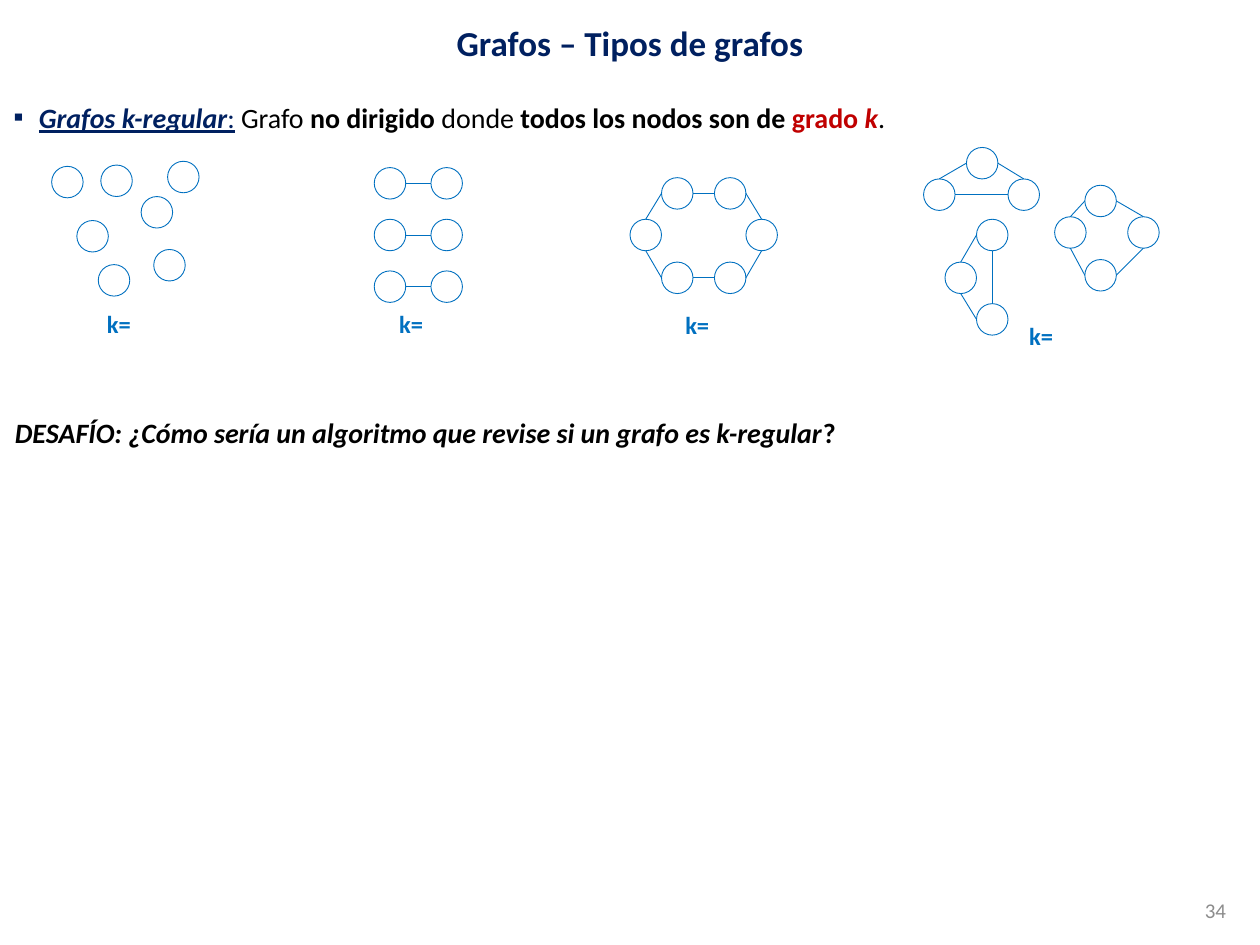
"""Build a slide on k-regular graphs with four example graphs."""
from lxml import etree
from pptx import Presentation
from pptx.dml.color import RGBColor
from pptx.enum.shapes import MSO_CONNECTOR, MSO_SHAPE
from pptx.enum.text import MSO_ANCHOR, MSO_AUTO_SIZE, PP_ALIGN
from pptx.oxml.ns import qn
from pptx.util import Inches, Pt

ELLIPSE, STRAIGHT = MSO_SHAPE.OVAL, MSO_CONNECTOR.STRAIGHT
LEFT, CENTER, RIGHT, JUSTIFY = PP_ALIGN.LEFT, PP_ALIGN.CENTER, PP_ALIGN.RIGHT, PP_ALIGN.JUSTIFY
TOP, MIDDLE = MSO_ANCHOR.TOP, MSO_ANCHOR.MIDDLE

NAVY = RGBColor(0x00, 0x20, 0x60)
BLUE = RGBColor(0x00, 0x70, 0xC0)
RED = RGBColor(0xC0, 0x00, 0x00)
BLACK = RGBColor(0x00, 0x00, 0x00)
GRAY = RGBColor(0x8C, 0x8C, 0x8C)

FONT = "Calibri"
NODE = 0.25
LINE_WIDTH = 0.5
SIDES = {"top": (0.5, 0), "left": (0, 0.5), "bottom": (0.5, 1), "right": (1, 0.5)}

PLAIN = {"size": Pt(16), "color": BLACK}
BOLD = PLAIN | {"bold": True}
BOLD_ITALIC = BOLD | {"italic": True}
TERM = {"size": Pt(16), "color": NAVY, "underline": True}
DEGREE = BOLD | {"color": RED}
LABEL = {"size": Pt(14), "color": BLUE, "bold": True}

TITLE = [("Grafos – Tipos de grafos", {"size": Pt(20), "color": NAVY, "bold": True})]
DEFINITION = [
    ("Grafos k-regular", TERM | {"bold": True, "italic": True}),
    (":", TERM),
    (" Grafo ", PLAIN),
    ("no dirigido ", BOLD),
    ("donde ", PLAIN),
    ("todos los nodos son de ", BOLD),
    ("grado ", DEGREE),
    ("k", DEGREE | {"italic": True}),
    (".", PLAIN),
]
CHALLENGE = [
    ("DESAFÍO: ¿Cómo sería un algoritmo que revise si un grafo es k-regular", BOLD_ITALIC),
    ("?", BOLD),
]
PAGE_NUMBER = [("34", {"size": Pt(12), "color": GRAY})]

PAIR_ROWS = (1.33, 1.74, 2.15)
GRAPHS = [
    {
        "label": (0.75, 2.4),
        "nodes": [(0.41, 1.32), (0.8, 1.31), (1.12, 1.56), (0.61, 1.75),
                  (1.22, 1.98), (1.33, 1.28), (0.78, 2.1)],
        "edges": [],
    },
    {
        "label": (3.07, 2.4),
        "nodes": [(x, y) for y in PAIR_ROWS for x in (2.97, 3.42)],
        "edges": [(2 * row, "right", 2 * row + 1, "left") for row in range(len(PAIR_ROWS))],
    },
    {
        "label": (5.34, 2.41),
        "nodes": [(5.25, 1.41), (5.67, 1.41), (5.92, 1.74),
                  (5.67, 2.08), (5.25, 2.08), (5, 1.74)],
        "edges": [(0, "right", 1, "left"), (1, "right", 2, "top"), (2, "bottom", 3, "right"),
                  (3, "left", 4, "right"), (4, "left", 5, "bottom"), (5, "top", 0, "left")],
    },
    {
        "label": (8.07, 2.5),
        "nodes": [(7.33, 1.42), (7.67, 1.17), (8, 1.42),
                  (8.61, 1.47), (8.95, 1.72), (8.61, 2.06), (8.37, 1.72),
                  (7.75, 1.74), (7.5, 2.08), (7.75, 2.41)],
        "edges": [(0, "top", 1, "left"), (1, "right", 2, "top"), (0, "right", 2, "left"),
                  (3, "right", 4, "top"), (4, "bottom", 5, "right"),
                  (5, "left", 6, "bottom"), (6, "top", 3, "left"),
                  (7, "left", 8, "top"), (8, "bottom", 9, "left"), (7, "bottom", 9, "top")],
    },
]


def add_text(slide, box, runs, align=LEFT, anchor=TOP, wrap=True, grow=False):
    """Add a text box of formatted runs and return its paragraph."""
    frame = slide.shapes.add_textbox(*map(Inches, box)).text_frame
    frame.word_wrap = wrap
    frame.vertical_anchor = anchor
    frame.auto_size = MSO_AUTO_SIZE.SHAPE_TO_FIT_TEXT if grow else MSO_AUTO_SIZE.NONE
    paragraph = frame.paragraphs[0]
    paragraph.alignment = align
    for text, formats in runs:
        run = paragraph.add_run()
        run.text = text
        run.font.name = FONT
        for name, value in formats.items():
            if name == "color":
                run.font.color.rgb = value
            else:
                setattr(run.font, name, value)
    return paragraph


def add_bullet(paragraph, indent, character, color):
    """Give a paragraph a hanging indent and a bullet."""
    properties = paragraph._p.get_or_add_pPr()
    properties.set("marL", str(Inches(indent)))
    properties.set("indent", str(-Inches(indent)))
    bullet_color = etree.SubElement(properties, qn("a:buClr"))
    etree.SubElement(bullet_color, qn("a:srgbClr"), val=str(color))
    etree.SubElement(properties, qn("a:buFont"), typeface=FONT)
    etree.SubElement(properties, qn("a:buChar"), char=character)


def style_line(shape):
    """Draw a shape's line in the graph style."""
    shape.line.color.rgb = BLUE
    shape.line.width = Pt(LINE_WIDTH)


def side_point(node, side):
    """Return the point in the middle of one side of a node."""
    return [Inches(start + NODE * share) for start, share in zip(node, SIDES[side])]


def add_graph(slide, graph):
    """Add one graph as a group, with its label."""
    group = slide.shapes.add_group_shape()
    nodes = graph["nodes"]
    for x, y in nodes:
        node = group.shapes.add_shape(ELLIPSE, *map(Inches, (x, y, NODE, NODE)))
        node.shadow.inherit = False
        node.fill.background()
        style_line(node)
    for first, first_side, second, second_side in graph["edges"]:
        edge = group.shapes.add_connector(
            STRAIGHT, *side_point(nodes[first], first_side), *side_point(nodes[second], second_side))
        style_line(edge)
        etree.SubElement(edge._element.spPr, qn("a:effectLst"))
    add_text(slide, (*graph["label"], 0.49, 0.34), [("k=", LABEL)], wrap=False, grow=True)


def main():
    """Build and save the slide."""
    presentation = Presentation()
    presentation.slide_width, presentation.slide_height = Inches(10), Inches(7.5)
    slide = presentation.slides.add_slide(presentation.slide_layouts[6])
    add_text(slide, (0, 0, 10, 0.67), TITLE, CENTER, MIDDLE)
    definition = add_text(slide, (0.01, 0.75, 9.99, 0.37), DEFINITION, JUSTIFY, grow=True)
    add_bullet(definition, 0.2, "▪", NAVY)
    for graph in GRAPHS:
        add_graph(slide, graph)
    add_text(slide, (0.02, 3.25, 9.98, 0.37), CHALLENGE, JUSTIFY, grow=True)
    add_text(slide, (7.5, 7.02, 2.33, 0.4), PAGE_NUMBER, RIGHT, MIDDLE)
    presentation.save("out.pptx")


if __name__ == "__main__":
    main()
